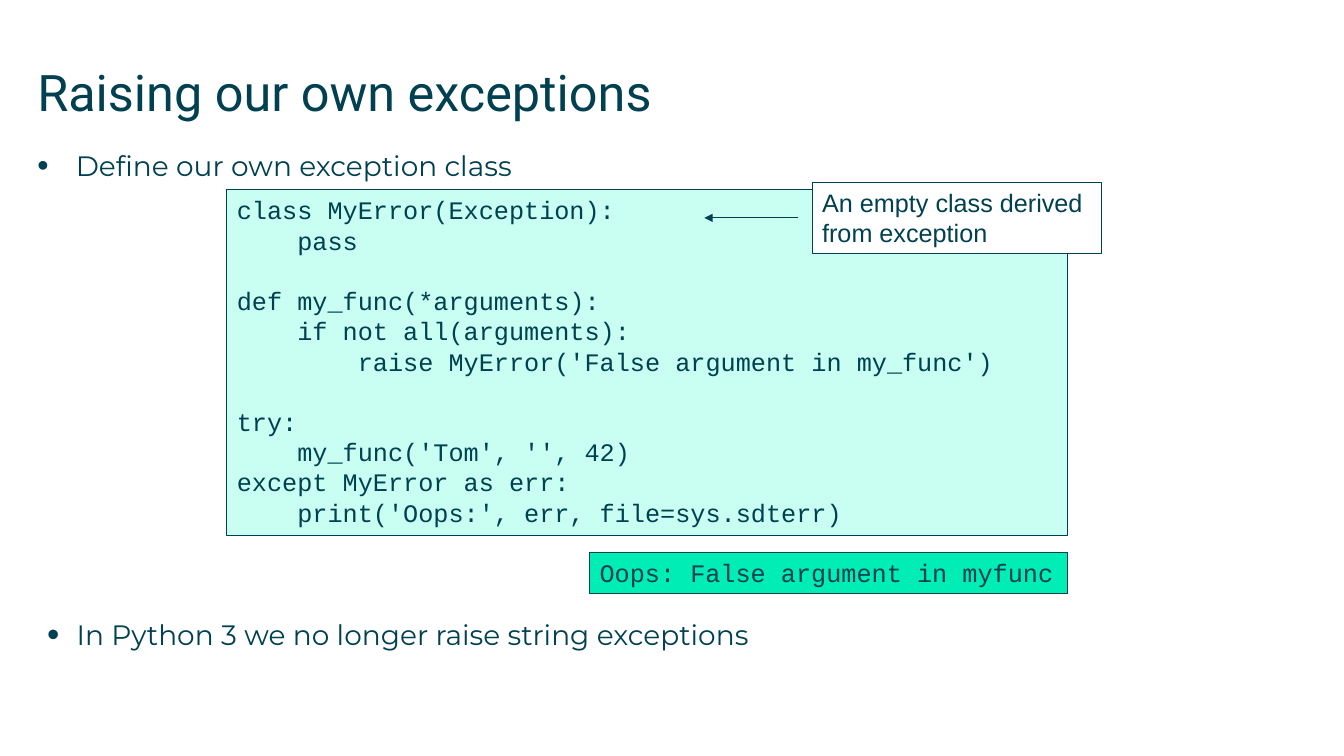
from lxml import etree
from pptx import Presentation
from pptx import util as u
from pptx.dml.color import RGBColor
from pptx.enum import shapes, text
from pptx.oxml.ns import qn

INK = "004050"
CODE_LINE = 21.6
CODE = """class MyError(Exception):
    pass

def my_func(*arguments):
    if not all(arguments):
        raise MyError('False argument in my_func')

try:
    my_func('Tom', '', 42)
except MyError as err:
    print('Oops:', err, file=sys.sdterr)"""


def color(hex_value):
    return RGBColor.from_string(hex_value)


def place(shape, left, top, width, height):
    shape.left, shape.top = u.Cm(left), u.Cm(top)
    shape.width, shape.height = u.Cm(width), u.Cm(height)


def write(paragraph, words, font, size, before=0, after=0, spacing=None):
    paragraph.alignment = text.PP_ALIGN.LEFT
    paragraph.space_before = u.Pt(before)
    paragraph.space_after = u.Pt(after)
    if spacing:
        paragraph.line_spacing = u.Pt(spacing)
    run = paragraph.add_run()
    run.text = words
    run.font.name = font
    run.font.size = u.Pt(size)
    run.font.color.rgb = color(INK)


def add_bullet(paragraph, left, hanging, percent):
    properties = paragraph._p.get_or_add_pPr()
    properties.set("marL", str(u.Cm(left)))
    properties.set("indent", str(-u.Cm(hanging)))
    for tag, name, value in (
        ("a:buSzPct", "val", str(percent * 1000)),
        ("a:buFont", "typeface", "Arial"),
        ("a:buChar", "char", "•"),
    ):
        etree.SubElement(properties, qn(tag)).set(name, value)


def prepare_frame(shape, margin=None):
    frame = shape.text_frame
    frame.auto_size = text.MSO_AUTO_SIZE.NONE
    frame.vertical_anchor = text.MSO_ANCHOR.TOP
    frame.word_wrap = True
    if margin is not None:
        frame.margin_left = frame.margin_right = u.Cm(margin)
        frame.margin_top = frame.margin_bottom = u.Cm(margin)
    return frame


def add_title(slide, words):
    title = slide.shapes.title
    place(title, 0.94, 1.55, 32, 2.24)
    write(prepare_frame(title, 0).paragraphs[0], words, "Roboto", 36)


def add_list(slide):
    body = slide.placeholders[1]
    place(body, 0.94, 3.73, 32.54, 14.48)
    frame = prepare_frame(body, 0)
    first, last = frame.paragraphs[0], frame.add_paragraph()
    last.level = 1
    add_bullet(first, 0.97, 0.97, 115)
    add_bullet(last, 0.99, 0.74, 125)
    write(first, "Define our own exception class", "Montserrat", 20, after=6.5)
    write(last, "In Python 3 we no longer raise string exceptions",
          "Montserrat", 20, before=305, after=6.5)


def add_box(slide, position, fill, words, font, wrap=False):
    box = slide.shapes.add_shape(
        shapes.MSO_SHAPE.RECTANGLE, *(u.Cm(length) for length in position))
    box.shadow.inherit = False
    box.fill.solid()
    box.fill.fore_color.rgb = color(fill)
    box.line.color.rgb = color(INK)
    box.line.width = u.Pt(0.75)
    frame = prepare_frame(box)
    frame.word_wrap = wrap
    paragraph = frame.paragraphs[0]
    for number, block in enumerate(words.split("\n\n")):
        for row, line in enumerate(block.split("\n")):
            if number or row:
                paragraph = frame.add_paragraph()
            gap = CODE_LINE if number and not row else 0
            write(paragraph, line, font, 18, before=gap, spacing=CODE_LINE)


def add_arrow(slide, start, end, y):
    arrow = slide.shapes.add_connector(
        shapes.MSO_CONNECTOR.STRAIGHT, u.Cm(start), u.Cm(y), u.Cm(end), u.Cm(y))
    arrow.line.color.rgb = color(INK)
    arrow.line.width = u.Pt(0.75)
    line = arrow.line._get_or_add_ln()
    etree.SubElement(line, qn("a:tailEnd")).set("type", "triangle")
    etree.SubElement(arrow._element.spPr, qn("a:effectLst"))


def main():
    presentation = Presentation()
    presentation.slide_width = u.Cm(33.87)
    presentation.slide_height = u.Cm(19.05)
    slide = presentation.slides.add_slide(presentation.slide_layouts[1])
    add_title(slide, "Raising our own exceptions")
    add_list(slide)
    add_box(slide, (5.72, 4.78, 21.18, 8.71), "C8FFF2", CODE, "Courier New")
    add_box(slide, (20.47, 4.6, 7.29, 1.8), "FFFFFF",
            "An empty class derived from exception", "Arial", wrap=True)
    add_arrow(slide, 20.12, 17.75, 5.49)
    add_box(slide, (14.86, 13.92, 12.04, 1.04), "00EDB5",
            "Oops: False argument in myfunc", "Courier New")
    presentation.save("out.pptx")


if __name__ == "__main__":
    main()
